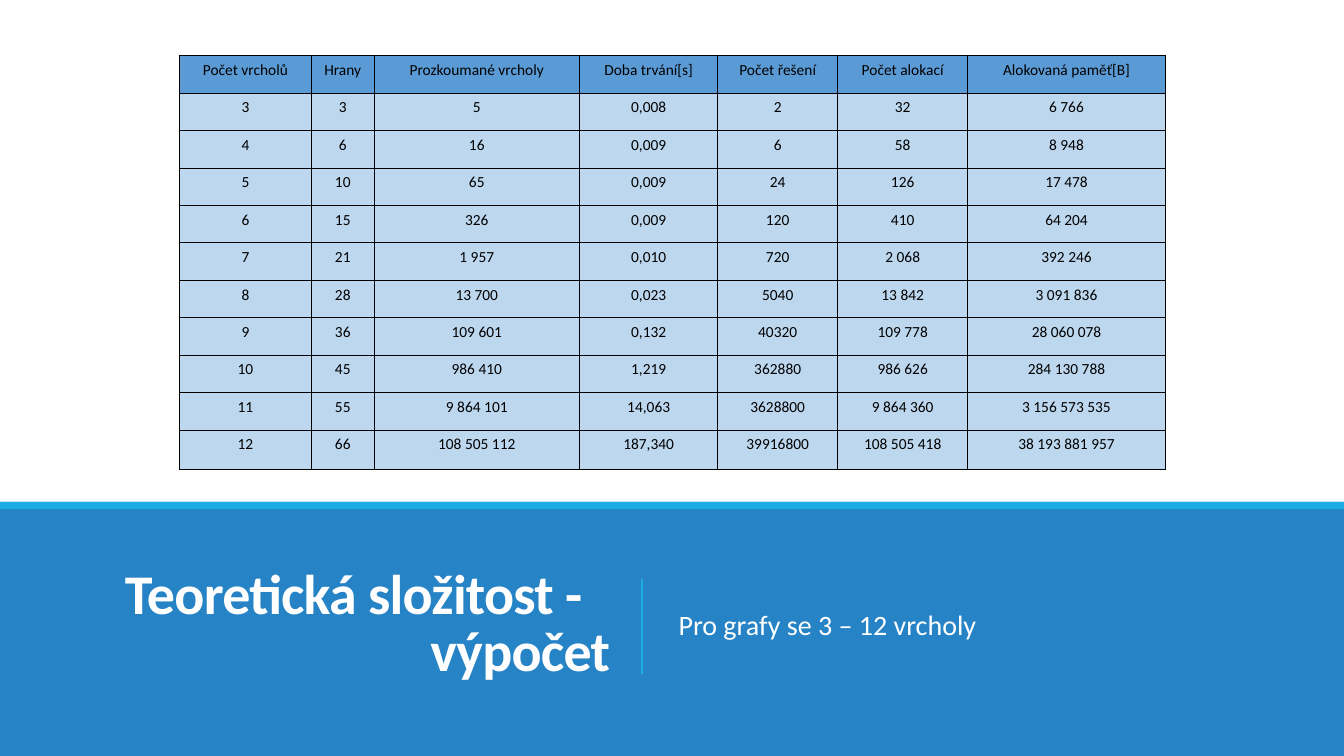
from lxml.etree import SubElement
from pptx import Presentation
from pptx.dml.color import RGBColor
from pptx.enum.shapes import MSO_CONNECTOR as Connector, MSO_SHAPE as Shape
from pptx.enum.text import MSO_ANCHOR as Anchor, PP_ALIGN as Align
from pptx.oxml.ns import qn
from pptx.util import Inches, Pt


def color(value):
    return RGBColor.from_string(value)


def write(para, text, size=11, ink="FFFFFF", bold=False, align=Align.LEFT,
          line=1.0, before=0, after=0, indent=0, tracking=0):
    para.alignment = align
    para.line_spacing = line
    para.space_before, para.space_after = Pt(before), Pt(after)
    if indent:
        para._p.get_or_add_pPr().set("marL", str(Inches(indent)))
    span = para.add_run()
    span.text = text
    span.font.name = "Calibri"
    span.font.size = Pt(size)
    span.font.bold = bold
    span.font.color.rgb = color(ink)
    if tracking:
        span._r.get_or_add_rPr().set("spc", str(int(tracking * 100)))


deck = Presentation()
deck.slide_width, deck.slide_height = Inches(13.33), Inches(7.5)
page = deck.slides.add_slide(deck.slide_layouts[6])

for height, fill in [(2.52, "2683C6"), (0.07, "1CADE4")]:
    band = page.shapes.add_shape(Shape.RECTANGLE, 0, Inches(4.98), Inches(13.33), Inches(height))
    band.shadow.inherit = False
    band.fill.solid()
    band.fill.fore_color.rgb = color(fill)
    band.line.fill.background()

title_box = page.shapes.add_textbox(Inches(0.69), Inches(5.36), Inches(5.46), Inches(1.7))
title = title_box.text_frame
title.word_wrap = True
title.vertical_anchor = Anchor.MIDDLE
title_style = dict(size=40, bold=True, line=0.85, tracking=-0.5)
write(title.paragraphs[0], "Teoretická složitost -", indent=0.45, **title_style)
write(title.add_paragraph(), "výpočet", align=Align.RIGHT, **title_style)

divider = page.shapes.add_connector(Connector.STRAIGHT, Inches(6.37), Inches(5.74), Inches(6.37), Inches(6.69))
divider.line.color.rgb = color("1CADE4")
divider.line.width = Pt(1.25)
SubElement(divider._element.spPr, qn("a:effectLst"))

subtitle_box = page.shapes.add_textbox(Inches(6.63), Inches(5.36), Inches(6.01), Inches(1.7))
subtitle = subtitle_box.text_frame
subtitle.word_wrap = True
subtitle.vertical_anchor = Anchor.MIDDLE
subtitle.margin_left = subtitle.margin_right = 0
write(subtitle.paragraphs[0], "Pro grafy se 3 – 12 vrcholy", size=20, line=0.9, before=12, after=2, indent=0.1)

rows = [
    ("Počet vrcholů", "Hrany", "Prozkoumané vrcholy", "Doba trvání[s]", "Počet řešení", "Počet alokací", "Alokovaná paměť[B]"),
    ("3", "3", "5", "0,008", "2", "32", "6 766"),
    ("4", "6", "16", "0,009", "6", "58", "8 948"),
    ("5", "10", "65", "0,009", "24", "126", "17 478"),
    ("6", "15", "326", "0,009", "120", "410", "64 204"),
    ("7", "21", "1 957", "0,010", "720", "2 068", "392 246"),
    ("8", "28", "13 700", "0,023", "5040", "13 842", "3 091 836"),
    ("9", "36", "109 601", "0,132", "40320", "109 778", "28 060 078"),
    ("10", "45", "986 410", "1,219", "362880", "986 626", "284 130 788"),
    ("11", "55", "9 864 101", "14,063", "3628800", "9 864 360", "3 156 573 535"),
    ("12", "66", "108 505 112", "187,340", "39916800", "108 505 418", "38 193 881 957"),
]
widths = [1.31, 0.62, 2.04, 1.37, 1.19, 1.29, 1.96]
last_row, last_column = len(rows) - 1, len(widths) - 1

table = page.shapes.add_table(len(rows), len(widths), Inches(1.78), Inches(0.55), Inches(9.78), Inches(4.11)).table
for column, width in zip(table.columns, widths):
    column.width = Inches(width)
for row in table.rows:
    row.height = Inches((4.11 - 0.39) / last_row)
table.rows[last_row].height = Inches(0.39)

for i, values in enumerate(rows):
    for j, value in enumerate(values):
        cell = table.cell(i, j)
        cell.margin_left = cell.margin_right = Inches(0.01)
        cell.margin_top = cell.margin_bottom = Inches(0.05)
        write(cell.text_frame.paragraphs[0], value, ink="000000", align=Align.CENTER)
        outer_edges = [("a:lnL", j == 0), ("a:lnR", j == last_column), ("a:lnT", i == 0), ("a:lnB", i == last_row)]
        for tag, outer in outer_edges:
            border = SubElement(cell._tc.get_or_add_tcPr(), qn(tag), w=str(Pt(0.96 if outer else 0.5)))
            SubElement(SubElement(border, qn("a:solidFill")), qn("a:srgbClr"), val="000000")
        cell.fill.solid()
        cell.fill.fore_color.rgb = color("BDD7EE" if i else "5B9BD5")

deck.save("out.pptx")
